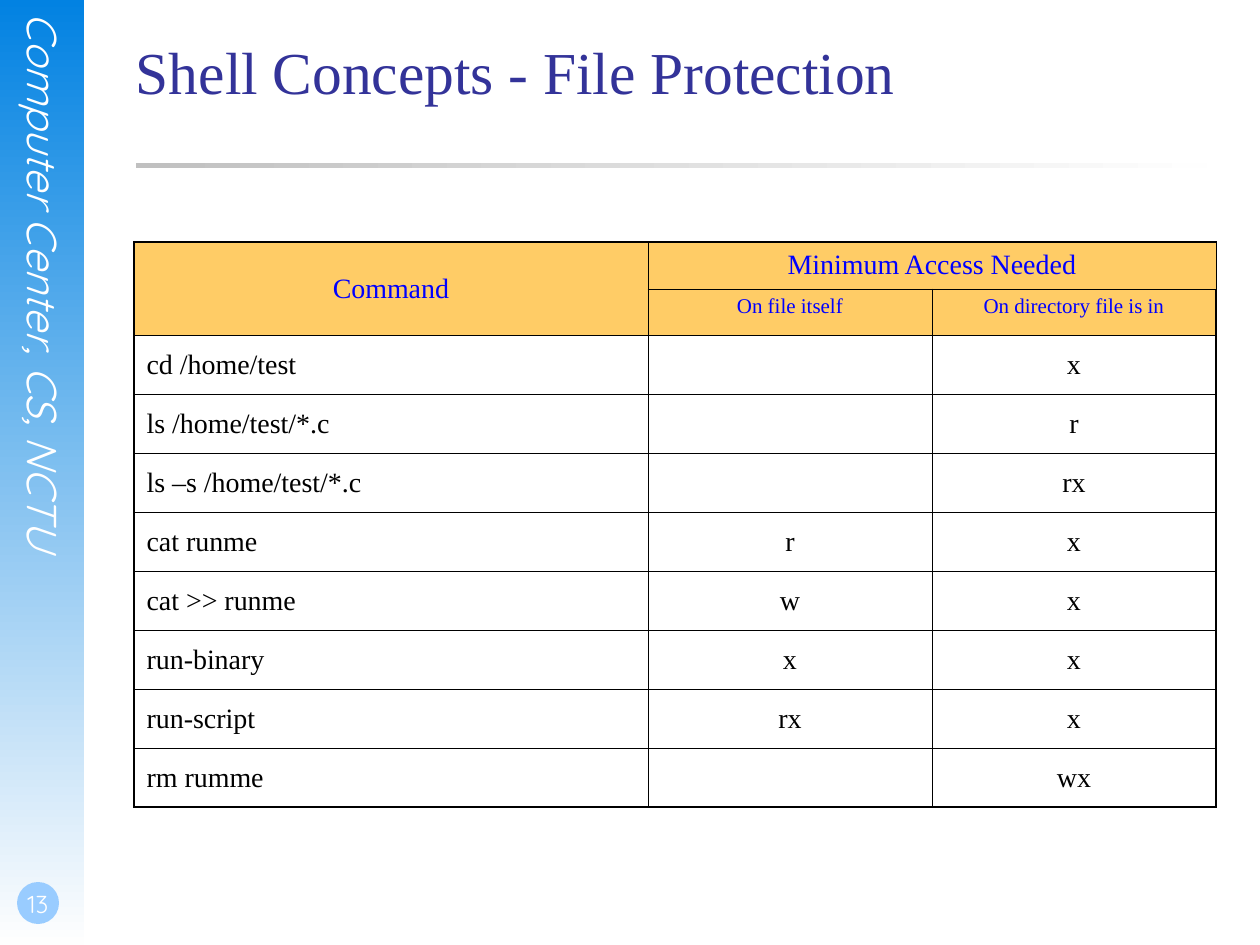
from lxml import etree
from pptx import Presentation
from pptx.dml.color import RGBColor
from pptx.enum.shapes import MSO_SHAPE
from pptx.enum.text import MSO_ANCHOR, PP_ALIGN
from pptx.oxml.ns import qn
from pptx.util import Emu, Pt

RECTANGLE, OVAL = MSO_SHAPE.RECTANGLE, MSO_SHAPE.OVAL
LEFT, CENTER = PP_ALIGN.LEFT, PP_ALIGN.CENTER
TOP, MIDDLE, BOTTOM = MSO_ANCHOR.TOP, MSO_ANCHOR.MIDDLE, MSO_ANCHOR.BOTTOM

PX_PER_INCH = 126
SERIF, ROUNDED = "Times New Roman", "Quicksand"
COLORS = {
    "sky": "0282E2",
    "fade": "FEFEFE",
    "badge": "99CCFF",
    "white": "FFFFFF",
    "rule": "C0C0C0",
    "title": "333399",
    "header_fill": "FFCC66",
    "header_text": "0000FF",
    "black": "000000",
}
THIN, THICK = 0.45, 1.08

COLUMN_WIDTHS = [514, 284, 284]
HEADER_HEIGHTS = [47, 46]
ROW_HEIGHT = 59
HEADER_ROWS = [
    ("Command", "Minimum Access Needed", ""),
    ("", "On file itself", "On directory file is in"),
]
COMMAND_ROWS = [
    ("cd /home/test", "", "x"),
    ("ls /home/test/*.c", "", "r"),
    ("ls –s /home/test/*.c", "", "rx"),
    ("cat runme", "r", "x"),
    ("cat >> runme", "w", "x"),
    ("run-binary", "x", "x"),
    ("run-script", "rx", "x"),
    ("rm rumme", "", "wx"),
]


def px(length):
    return Emu(round(length * 914400 / PX_PER_INCH))


def rgb(name):
    return RGBColor.from_string(COLORS[name])


def write(text_frame, text, size, font, color, align=LEFT, italic=False):
    text_frame.text = text
    paragraph = text_frame.paragraphs[0]
    paragraph.alignment = align
    for run in paragraph.runs:
        run.font.size = Pt(size)
        run.font.name = font
        run.font.italic = italic
        run.font.color.rgb = rgb(color)


def add_text(slide, box, text, size, font, color, anchor=TOP, **style):
    text_frame = slide.shapes.add_textbox(*map(px, box)).text_frame
    text_frame.word_wrap = True
    text_frame.vertical_anchor = anchor
    text_frame.margin_left = text_frame.margin_right = 0
    text_frame.margin_top = text_frame.margin_bottom = 0
    write(text_frame, text, size, font, color, **style)
    return text_frame


def add_plain_shape(slide, kind, box):
    shape = slide.shapes.add_shape(kind, *map(px, box))
    shape.shadow.inherit = False
    shape.line.fill.background()
    return shape


def fill_gradient(shape, start, end, angle):
    """Fade from start to end; the angle runs counter-clockwise from rightwards."""
    shape.fill.gradient()
    shape.fill.gradient_angle = angle
    for stop, color in zip(shape.fill.gradient_stops, (start, end)):
        stop.color.rgb = rgb(color)


def add_sidebar(slide, left, top, width, height):
    band = add_plain_shape(slide, RECTANGLE, (left, top, width, height))
    fill_gradient(band, "sky", "fade", 270)
    label = add_text(slide, (left + 19, top + 13, 50, 644), "Computer Center, CS, NCTU",
                     24, ROUNDED, "white", align=CENTER, italic=True)
    label._txBody.bodyPr.set("vert", "eaVert")
    badge = add_plain_shape(slide, OVAL, (left + 17, top + height - 63, 42, 42))
    badge.fill.solid()
    badge.fill.fore_color.rgb = rgb("badge")
    number = add_text(slide, (left, top + height - 84, 73, 63), "13",
                      14, ROUNDED, "white", anchor=BOTTOM, align=CENTER)
    number.margin_left, number.margin_bottom = px(3), px(6)


def add_title(slide, left, top, width, height):
    rule = add_plain_shape(slide, RECTANGLE, (left, top + 128, width, 5))
    fill_gradient(rule, "rule", "fade", 0)
    add_text(slide, (left, top, width, height), "Shell Concepts - File Protection",
             34, SERIF, "title")


def set_borders(cell, **widths):
    """Draw the sides L, R, T and B, each with its width in points."""
    properties = cell._tc.get_or_add_tcPr()
    for side in "LRTB":
        line = etree.SubElement(properties, qn(f"a:ln{side}"), w=str(Pt(widths[side])))
        fill = etree.SubElement(line, qn("a:solidFill"))
        etree.SubElement(fill, qn("a:srgbClr"), val=COLORS["black"])


def add_access_table(slide, left, top):
    rows = HEADER_ROWS + COMMAND_ROWS
    heights = HEADER_HEIGHTS + [ROW_HEIGHT] * len(COMMAND_ROWS)
    last_row, last_column = len(rows) - 1, len(COLUMN_WIDTHS) - 1
    frame = slide.shapes.add_table(len(rows), len(COLUMN_WIDTHS), px(left), px(top),
                                   px(sum(COLUMN_WIDTHS)), px(sum(heights)))
    table = frame.table
    table.first_row = table.horz_banding = False
    for column, width in zip(table.columns, COLUMN_WIDTHS):
        column.width = px(width)
    for row, height in zip(table.rows, heights):
        row.height = px(height)
    table.cell(0, 0).merge(table.cell(1, 0))
    table.cell(0, 1).merge(table.cell(0, 2))

    for r, texts in enumerate(rows):
        is_header = r < len(HEADER_ROWS)
        for c, text in enumerate(texts):
            cell = table.cell(r, c)
            set_borders(cell,
                        L=THICK if c == 0 else THIN,
                        R=THICK if c == last_column else THIN,
                        T=THICK if r == 0 else THIN,
                        B=THICK if r == last_row else THIN)
            if is_header:
                cell.fill.solid()
                cell.fill.fore_color.rgb = rgb("header_fill")
            else:
                cell.fill.background()
            is_subheader = r == 1
            cell.vertical_anchor = TOP if is_subheader else MIDDLE
            write(cell.text_frame, text, 12 if is_subheader else 16, SERIF,
                  "header_text" if is_header else "black",
                  align=CENTER if is_header or c > 0 else LEFT)


def main():
    presentation = Presentation()
    presentation.slide_width, presentation.slide_height = px(1260), px(945)
    slide = presentation.slides.add_slide(presentation.slide_layouts[6])
    add_sidebar(slide, 0, 0, 84, 945)
    add_title(slide, 136, 35, 1071, 158)
    add_access_table(slide, 134, 242)
    presentation.save("out.pptx")


if __name__ == "__main__":
    main()
